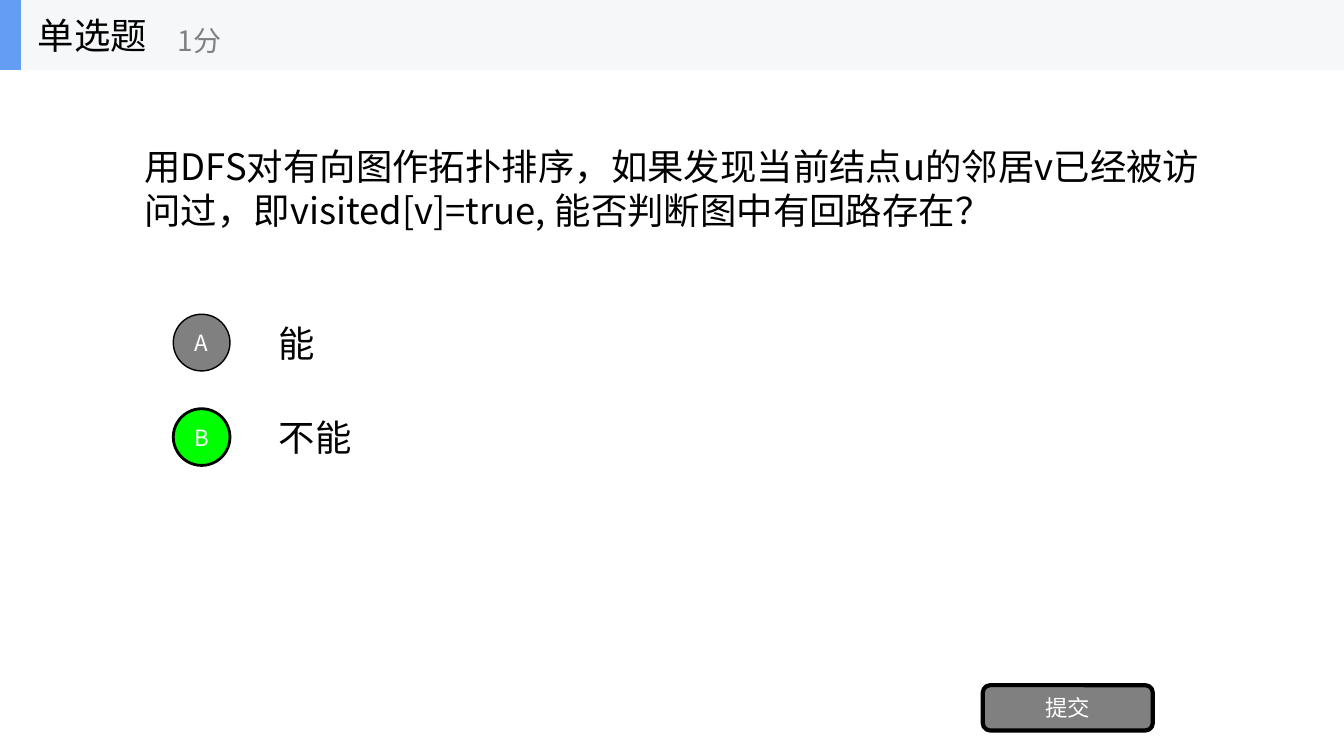
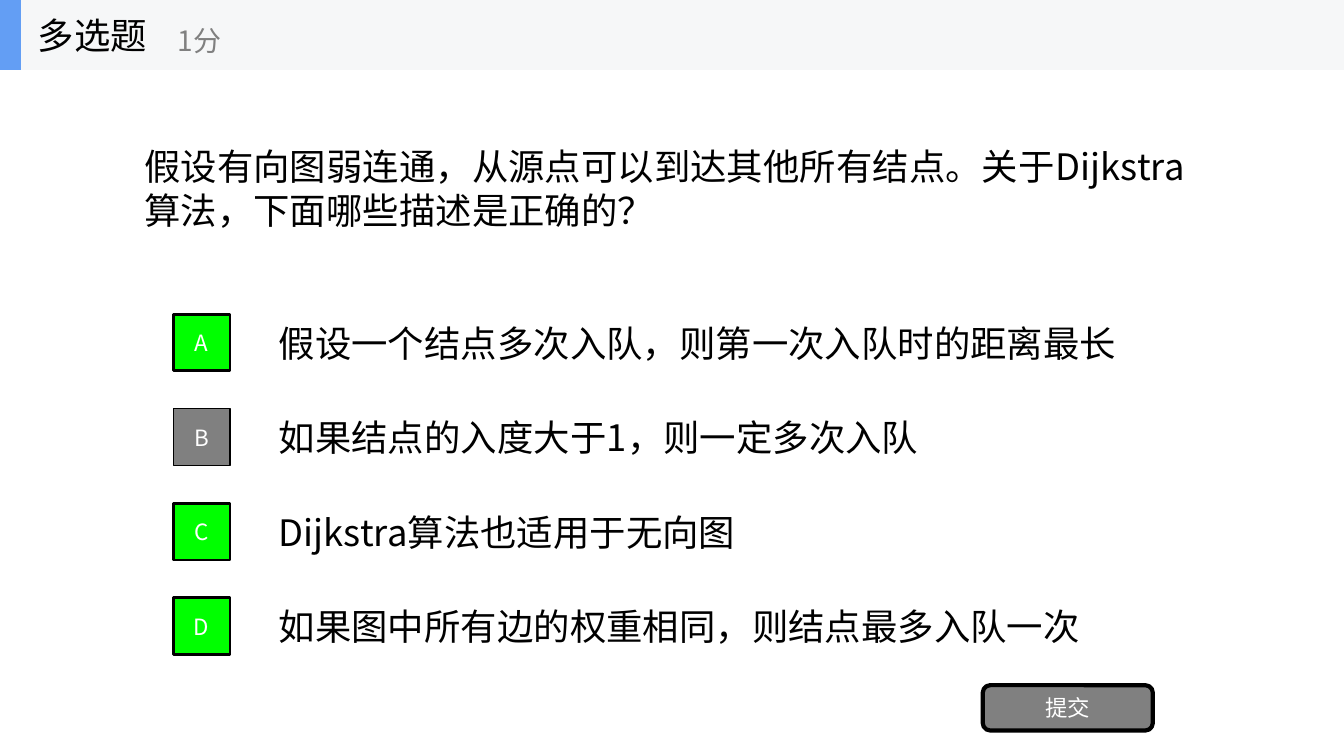
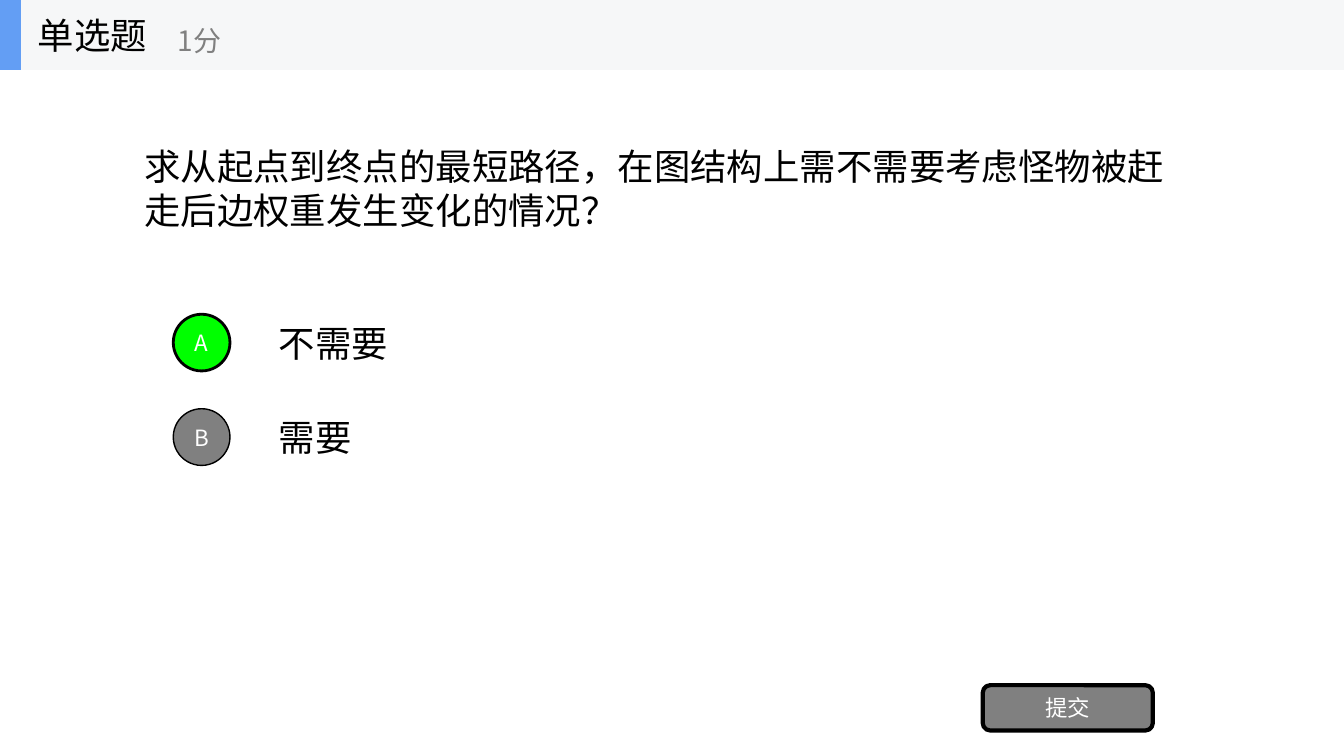
from dataclasses import dataclass

from lxml import etree
from pptx import Presentation
from pptx import util as u
from pptx.dml.color import RGBColor
from pptx.enum import shapes as kinds, text as txt
from pptx.oxml import ns
from pptx.shapes import autoshape as auto, shapetree as tree

# Shared look
FONT = "Noto Sans CJK SC"
BLACK = RGBColor(0x00, 0x00, 0x00)
WHITE = RGBColor(0xFF, 0xFF, 0xFF)
GRAY = RGBColor(0x80, 0x80, 0x80)
GREEN = RGBColor(0x00, 0xFF, 0x00)
BLUE = RGBColor(0x63, 0x9E, 0xF4)
PALE = RGBColor(0xF6, 0xF7, 0xF8)

RECT = kinds.MSO_SHAPE.RECTANGLE
OVAL = kinds.MSO_SHAPE.OVAL
ROUND = kinds.MSO_SHAPE.ROUNDED_RECTANGLE

# Layout in points
WIDTH, HEIGHT = 960, 540
BAND = 50
TOP, STEP, ROW = 219.4, 67.5, 50.6
BADGE = 40.5


@dataclass(frozen=True)
class Box:
    x: float
    y: float
    w: float
    h: float

    def pts(self) -> list[u.Length]:
        return [u.Pt(n) for n in (self.x, self.y, self.w, self.h)]


@dataclass(frozen=True)
class Choice:
    text: str
    right: bool = False


@dataclass(frozen=True)
class Quiz:
    title: str
    badge: kinds.MSO_SHAPE
    ask: str
    picks: tuple[Choice, ...]


QUIZZES = (
    Quiz("单选题", OVAL,
         "用DFS对有向图作拓扑排序，如果发现当前结点u的邻居v已经被访问过，"
         "即visited[v]=true, 能否判断图中有回路存在？",
         (Choice("能"), Choice("不能", True))),
    Quiz("多选题", RECT,
         "假设有向图弱连通，从源点可以到达其他所有结点。"
         "关于Dijkstra算法，下面哪些描述是正确的？",
         (Choice("假设一个结点多次入队，则第一次入队时的距离最长", True),
          Choice("如果结点的入度大于1，则一定多次入队"),
          Choice("Dijkstra算法也适用于无向图", True),
          Choice("如果图中所有边的权重相同，则结点最多入队一次", True))),
    Quiz("单选题", OVAL,
         "求从起点到终点的最短路径，在图结构上需不需要考虑怪物被赶走后"
         "边权重发生变化的情况？",
         (Choice("不需要", True), Choice("需要"))),
)


def write(shape: auto.Shape, words: str, *, size: float = 26,
          color: RGBColor = BLACK, center: bool = False,
          wrap: bool = True) -> None:
    frame = shape.text_frame
    frame.word_wrap = wrap
    frame.vertical_anchor = txt.MSO_ANCHOR.MIDDLE
    para = frame.paragraphs[0]
    para.alignment = txt.PP_ALIGN.CENTER if center else txt.PP_ALIGN.LEFT
    run = para.add_run()
    run.text = words
    run.font.size = u.Pt(size)
    run.font.color.rgb = color
    run.font.name = FONT
    # East Asian glyphs take their own font entry
    props = run.font._element
    etree.SubElement(props, ns.qn("a:ea")).set("typeface", FONT)


def label(parts: tree._BaseGroupShapes, box: Box, words: str, *,
          size: float = 26, color: RGBColor = BLACK,
          wrap: bool = True) -> None:
    write(parts.add_textbox(*box.pts()), words,
          size=size, color=color, wrap=wrap)


def block(parts: tree._BaseGroupShapes, kind: kinds.MSO_SHAPE, box: Box,
          fill: RGBColor, *, line: float = 0, words: str = "") -> None:
    shape = parts.add_shape(kind, *box.pts())
    shape.shadow.inherit = False
    shape.fill.solid()
    shape.fill.fore_color.rgb = fill
    if line:
        shape.line.color.rgb = BLACK
        shape.line.width = u.Pt(line)
    else:
        shape.line.fill.background()
    if words:
        write(shape, words, size=16, color=WHITE, center=True)


def header(parts: tree.SlideShapes, title: str) -> None:
    group = parts.add_group_shape().shapes
    block(group, RECT, Box(0, 0, WIDTH, BAND), PALE)
    block(group, RECT, Box(0, 0, 15, BAND), BLUE)
    label(group, Box(20, 0, 150, BAND), title, wrap=False)
    label(group, Box(120, 8.8, 180, 40.5), "1分",
          size=20, color=GRAY, wrap=False)


def option(parts: tree.SlideShapes, kind: kinds.MSO_SHAPE, row: int,
           pick: Choice) -> None:
    top = TOP + row * STEP
    label(parts, Box(192, top, 672, ROW), pick.text)
    block(parts, kind, Box(123.75, top + (ROW - BADGE) / 2, BADGE, BADGE),
          GREEN if pick.right else GRAY,
          line=2 if pick.right else 1, words="ABCD"[row])


def draw(parts: tree.SlideShapes, quiz: Quiz) -> None:
    header(parts, quiz.title)
    label(parts, Box(96, BAND, 768, 168.5), quiz.ask)
    for row, pick in enumerate(quiz.picks):
        option(parts, quiz.badge, row, pick)
    # Submit button
    block(parts, ROUND, Box(702, 489.4, 121.5, 32.4), GRAY,
          line=3, words="提交")


def main() -> None:
    deck = Presentation()
    deck.slide_width, deck.slide_height = u.Pt(WIDTH), u.Pt(HEIGHT)
    for quiz in QUIZZES:
        draw(deck.slides.add_slide(deck.slide_layouts[6]).shapes, quiz)
    deck.save("out.pptx")


if __name__ == "__main__":
    main()
